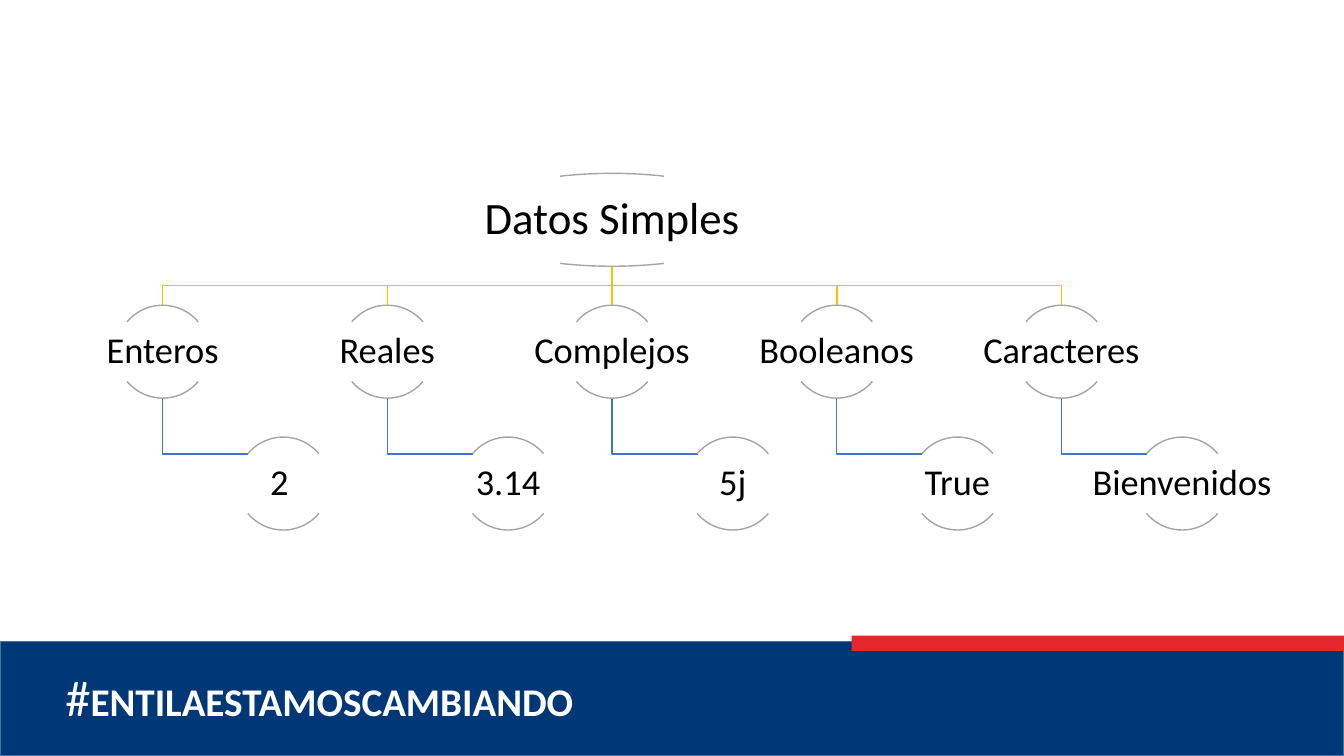
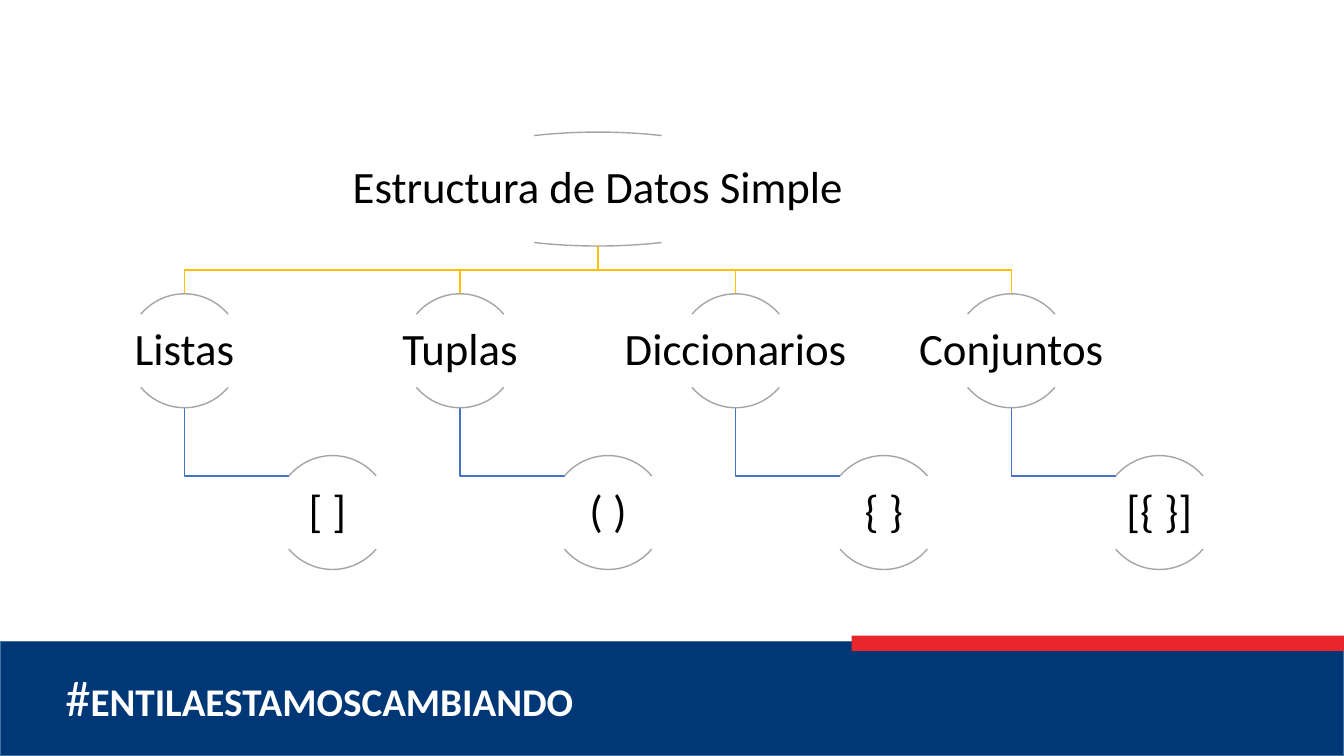
import pptx
import pptx.dml.color
import pptx.enum.shapes
import pptx.enum.text
import pptx.util

Cm = pptx.util.Cm
Pt = pptx.util.Pt
SHAPE = pptx.enum.shapes.MSO_SHAPE
ALIGN = pptx.enum.text.PP_ALIGN
ANCHOR = pptx.enum.text.MSO_ANCHOR

WIDE, HIGH = 33.87, 19.05
FONT = "Calibri"
COLORS = {
    "navy": "003777",
    "edge": "43739E",
    "red": "E9252D",
    "white": "FFFFFF",
    "black": "000000",
    "gold": "FFC000",
    "blue": "4472C4",
    "gray": "A5A5A5",
}
ARCS = ((132, 192), (24, 84))
TREES = (
    {
        "root": "Datos Simples",
        "pairs": (
            ("Enteros", "2 "),
            ("Reales", "3.14"),
            ("Complejos", "5j"),
            ("Booleanos", "True"),
            ("Caracteres", "Bienvenidos"),
        ),
        "left": 4.1, "top": 4.37, "size": 2.34, "points": 26,
    },
    {
        "root": "Estructura de Datos Simple",
        "pairs": (
            ("Listas", "[ ] "),
            ("Tuplas", "( )"),
            ("Diccionarios", "{ }"),
            ("Conjuntos", "[{ }]"),
        ),
        "left": 4.65, "top": 3.33, "size": 2.87, "points": 32,
    },
)


def tint(name):
    return pptx.dml.color.RGBColor.from_string(COLORS[name])


def stroke(shape, color):
    shape.line.color.rgb = tint(color)
    shape.line.width = Pt(1)


def style(font, points, color, bold=False):
    font.name = FONT
    font.size = Pt(points)
    font.bold = bold
    font.color.rgb = tint(color)


def add_band(shapes, left, top, width, height, color, edge=None):
    band = shapes.add_shape(SHAPE.RECTANGLE, Cm(left), Cm(top), Cm(width), Cm(height))
    band.shadow.inherit = False
    band.fill.solid()
    band.fill.fore_color.rgb = tint(color)
    if edge:
        stroke(band, edge)
    else:
        band.line.fill.background()


def add_footer(shapes):
    add_band(shapes, 0, 16.16, WIDE, HIGH - 16.16, "navy", "edge")
    add_band(shapes, 21.46, 16.02, WIDE - 21.46, 0.38, "red")
    box = shapes.add_textbox(Cm(1.4), Cm(16.66), Cm(14.33), Cm(1.8))
    box.text_frame.word_wrap = True
    line = box.text_frame.paragraphs[0]
    for text, points, bold in (("#", 36, False), ("ENTILAESTAMOSCAMBIANDO", 28, True)):
        run = line.add_run()
        run.text = text
        style(run.font, points, "white", bold)


def add_link(shapes, points, color):
    spots = [(Cm(x), Cm(y)) for x, y in points]
    pen = shapes.build_freeform(*spots[0])
    pen.add_line_segments(spots[1:], close=False)
    link = pen.convert_to_shape()
    link.shadow.inherit = False
    link.fill.background()
    stroke(link, color)


def add_stem(shapes, x, top, end, color):
    stem = shapes.add_connector(
        pptx.enum.shapes.MSO_CONNECTOR.STRAIGHT, Cm(x), Cm(top), Cm(x), Cm(end))
    stem._element.spPr.append(pptx.oxml.parse_xml(
        '<a:effectLst xmlns:a="http://schemas.openxmlformats.org/drawingml/2006/main"/>'))
    stroke(stem, color)


def add_node(shapes, text, mid, top, size, points, ratio=1):
    width = size * ratio
    for start, end in ARCS:
        arc = shapes.add_shape(
            SHAPE.ARC, Cm(mid - width / 2), Cm(top), Cm(width), Cm(size))
        arc.shadow.inherit = False
        arc.adjustments[0] = start
        arc.adjustments[1] = end
        arc.fill.background()
        stroke(arc, "gray")
    box = shapes.add_textbox(
        Cm(mid - width), Cm(top + 0.18 * size), Cm(2 * width), Cm(0.64 * size))
    frame = box.text_frame
    frame.word_wrap = True
    frame.vertical_anchor = ANCHOR.MIDDLE
    frame.margin_left = frame.margin_right = Cm(0.05)
    frame.margin_top = frame.margin_bottom = Cm(0.05)
    line = frame.paragraphs[0]
    line.text = text
    line.alignment = ALIGN.CENTER
    line.line_spacing = 0.9
    style(line.font, points, "black")


def add_tree(shapes, root, pairs, left, top, size, points):
    mids = [left + 2.42 * size * i for i in range(len(pairs))]
    center = (mids[0] + mids[-1]) / 2
    child, leaf = (top + 1.42 * size * i for i in (1, 2))
    base = top + size
    bend = (base + child) / 2
    turn = leaf + 0.18 * size
    for mid in mids:
        if abs(mid - center) < 0.01:
            add_stem(shapes, mid, base, child, "gold")
        else:
            add_link(shapes, [(center, base), (center, bend), (mid, bend), (mid, child)], "gold")
        add_link(shapes, [(mid, child + size), (mid, turn), (mid + 0.92 * size, turn)], "blue")
    add_node(shapes, root, center, top, size, 32, ratio=3.25)
    for mid, (name, value) in zip(mids, pairs):
        add_node(shapes, name, mid, child, size, points)
        add_node(shapes, value, mid + 1.3 * size, leaf, size, points)


def main():
    deck = pptx.Presentation()
    deck.slide_width, deck.slide_height = Cm(WIDE), Cm(HIGH)
    for tree in TREES:
        slide = deck.slides.add_slide(deck.slide_layouts[6])
        add_footer(slide.shapes)
        add_tree(slide.shapes, **tree)
    deck.save("out.pptx")


if __name__ == "__main__":
    main()
